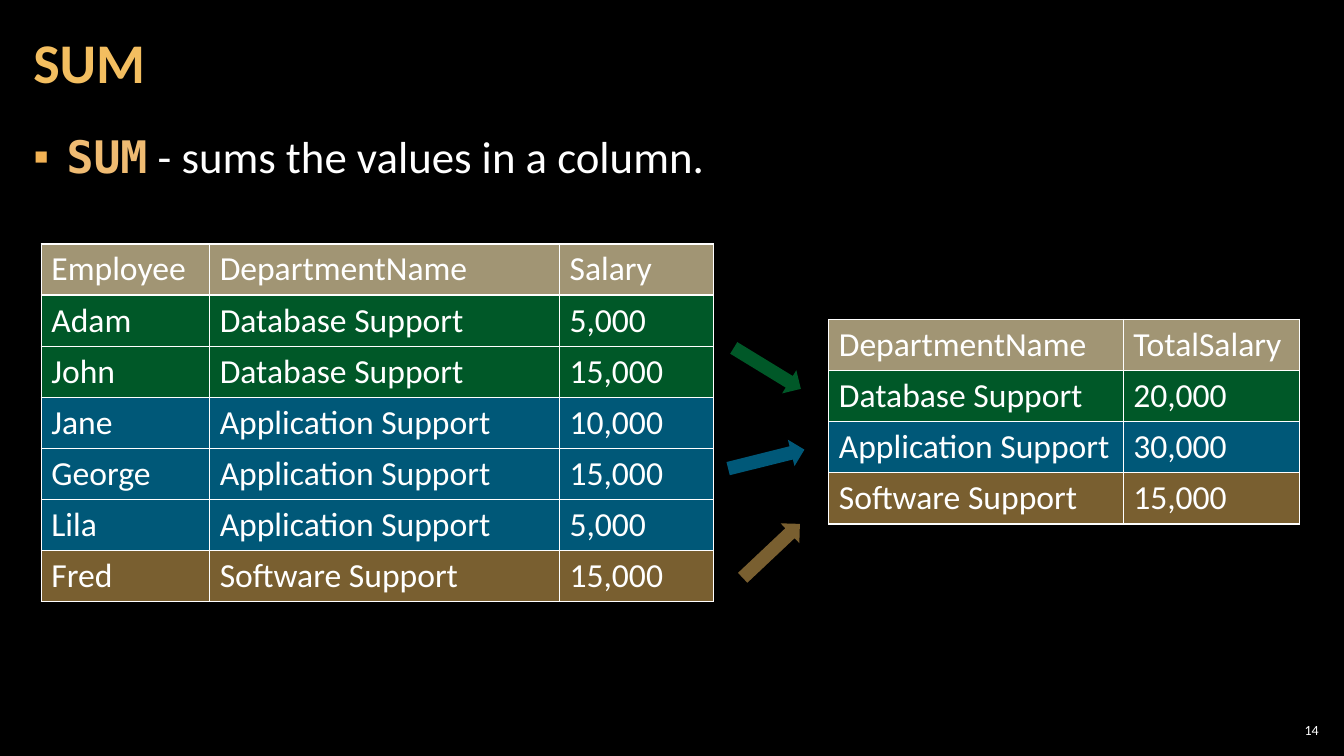
from dataclasses import dataclass

from pptx import Presentation
from pptx.dml.color import RGBColor
from pptx.enum.shapes import MSO_SHAPE
from pptx.enum.text import MSO_ANCHOR, MSO_AUTO_SIZE, PP_ALIGN
from pptx.oxml.ns import qn
from pptx.oxml.xmlchemy import OxmlElement
from pptx.slide import Slide
from pptx.text.text import TextFrame, _Paragraph
from pptx.util import Inches, Pt

RIGHT_ARROW = MSO_SHAPE.RIGHT_ARROW
TOP, MIDDLE = MSO_ANCHOR.TOP, MSO_ANCHOR.MIDDLE
LEFT, RIGHT = PP_ALIGN.LEFT, PP_ALIGN.RIGHT
NO_AUTOFIT = MSO_AUTO_SIZE.NONE

COLORS = {
    "background": "000000",
    "text": "FFFFFF",
    "title": "F3BE60",
    "keyword": "EFBB72",
    "bullet": "F2B254",
    "header": "A19574",
    "database": "00B050",
    "application": "00B0F0",
    "software": "F3BE60",
}
TEXT_FONT, CODE_FONT = "Calibri", "DejaVu Sans Mono"
ROW_HEIGHT = 0.5
ARROW_WIDTH, ARROW_HEIGHT = 0.78, 0.27


@dataclass
class Row:
    color: str
    values: list[str]


@dataclass
class TableSpec:
    left: float
    top: float
    column_widths: list[float]
    rows: list[Row]


@dataclass
class Arrow:
    color: str
    left: float
    top: float
    rotation: float


TABLES = [
    TableSpec(0.41, 2.42, [1.67, 3.47, 1.53], [
        Row("header", ["Employee", "DepartmentName", "Salary"]),
        Row("database", ["Adam", "Database Support", "5,000"]),
        Row("database", ["John", "Database Support", "15,000"]),
        Row("application", ["Jane", "Application Support", "10,000"]),
        Row("application", ["George", "Application Support", "15,000"]),
        Row("application", ["Lila", "Application Support", "5,000"]),
        Row("software", ["Fred", "Software Support", "15,000"]),
    ]),
    TableSpec(8.22, 3.17, [2.92, 1.75], [
        Row("header", ["DepartmentName", "TotalSalary"]),
        Row("database", ["Database Support", "20,000"]),
        Row("application", ["Application Support", "30,000"]),
        Row("software", ["Software Support", "15,000"]),
    ]),
]
ARROWS = [
    Arrow("database", 7.22, 3.52, 31.4),
    Arrow("application", 7.21, 4.42, 346),
    Arrow("software", 7.26, 5.33, 316.7),
]


def rgb(name: str) -> RGBColor:
    return RGBColor.from_string(COLORS[name])


def add_text(paragraph: _Paragraph, text: str, *, size: float, color: str = "text",
             font: str = TEXT_FONT, bold: bool = False) -> None:
    run = paragraph.add_run()
    run.text = text
    run.font.name = font
    run.font.size = Pt(size)
    run.font.bold = bold
    run.font.color.rgb = rgb(color)


def place(shape, left: float, top: float, width: float, height: float) -> None:
    shape.left, shape.top = Inches(left), Inches(top)
    shape.width, shape.height = Inches(width), Inches(height)


def format_frame(frame: TextFrame, side_margin: float, anchor: MSO_ANCHOR) -> None:
    frame.word_wrap = True
    frame.auto_size = NO_AUTOFIT
    frame.vertical_anchor = anchor
    frame.margin_left = frame.margin_right = Inches(side_margin)
    frame.margin_top = frame.margin_bottom = Inches(0.04)


def fill_solid(fill, properties, color: str, opacity: int = 100) -> None:
    fill.solid()
    fill.fore_color.rgb = rgb(color)
    if opacity < 100:
        alpha = OxmlElement("a:alpha")
        alpha.set("val", str(opacity * 1000))
        properties.find(qn("a:solidFill")).find(qn("a:srgbClr")).append(alpha)


def add_borders(properties) -> None:
    for side in ("L", "R", "T", "B"):
        line = OxmlElement(f"a:ln{side}")
        line.set("w", str(Pt(1)))
        solid = OxmlElement("a:solidFill")
        color = OxmlElement("a:srgbClr")
        color.set("val", COLORS["text"])
        solid.append(color)
        line.append(solid)
        properties.append(line)


def add_bullet(paragraph: _Paragraph, character: str, indent: float) -> None:
    properties = paragraph._p.get_or_add_pPr()
    properties.set("marL", str(Inches(indent)))
    properties.set("indent", str(Inches(-indent)))
    bullet_color = OxmlElement("a:buClr")
    color = OxmlElement("a:srgbClr")
    color.set("val", COLORS["bullet"])
    bullet_color.append(color)
    bullet = OxmlElement("a:buChar")
    bullet.set("char", character)
    properties.extend([bullet_color, bullet])


def add_table(slide: Slide, spec: TableSpec) -> None:
    frame = slide.shapes.add_table(
        len(spec.rows), len(spec.column_widths), Inches(spec.left), Inches(spec.top),
        Inches(sum(spec.column_widths)), Inches(ROW_HEIGHT * len(spec.rows)))
    table = frame.table
    table.first_row = table.horz_banding = False
    for column, width in zip(table.columns, spec.column_widths):
        column.width = Inches(width)
    for table_row, row in zip(table.rows, spec.rows):
        table_row.height = Inches(ROW_HEIGHT)
        for cell, value in zip(table_row.cells, row.values):
            add_text(cell.text_frame.paragraphs[0], value, size=24)
            properties = cell._tc.get_or_add_tcPr()
            add_borders(properties)
            opacity = 100 if row.color == "header" else 50
            fill_solid(cell.fill, properties, row.color, opacity)


def add_arrow(slide: Slide, arrow: Arrow) -> None:
    shape = slide.shapes.add_shape(
        RIGHT_ARROW, Inches(arrow.left), Inches(arrow.top),
        Inches(ARROW_WIDTH), Inches(ARROW_HEIGHT))
    shape.rotation = arrow.rotation
    shape.shadow.inherit = False
    shape.line.fill.background()
    fill_solid(shape.fill, shape.element.spPr, arrow.color, 50)


def main() -> None:
    presentation = Presentation()
    presentation.slide_width, presentation.slide_height = Inches(13.33), Inches(7.5)
    slide = presentation.slides.add_slide(presentation.slide_layouts[1])
    slide.background.fill.solid()
    slide.background.fill.fore_color.rgb = rgb("background")

    # Title
    title = slide.shapes.title
    place(title, 0.21, 0.04, 10.47, 1.21)
    format_frame(title.text_frame, 0.12, MIDDLE)
    paragraph = title.text_frame.paragraphs[0]
    paragraph.alignment = LEFT
    paragraph.line_spacing = 0.9
    add_text(paragraph, "SUM", size=40, color="title", bold=True)

    # Definition
    body = slide.placeholders[1]
    place(body, 0.21, 1.24, 12.91, 6.09)
    format_frame(body.text_frame, 0.12, TOP)
    paragraph = body.text_frame.paragraphs[0]
    add_bullet(paragraph, "▪", 0.33)
    paragraph.space_before, paragraph.space_after = Pt(0), Pt(6)
    add_text(paragraph, "SUM", size=32, color="keyword", font=CODE_FONT, bold=True)
    add_text(paragraph, " - sums the values in a column.", size=32)

    # Source rows, grouped totals and the arrows between them
    for spec in TABLES:
        add_table(slide, spec)
    for arrow in ARROWS:
        add_arrow(slide, arrow)

    # Slide number
    number = slide.shapes.add_textbox(Inches(12.65), Inches(7.14), Inches(0.47), Inches(0.21))
    format_frame(number.text_frame, 0.04, MIDDLE)
    paragraph = number.text_frame.paragraphs[0]
    paragraph.alignment = RIGHT
    add_text(paragraph, "14", size=10)

    presentation.save("out.pptx")


if __name__ == "__main__":
    main()
